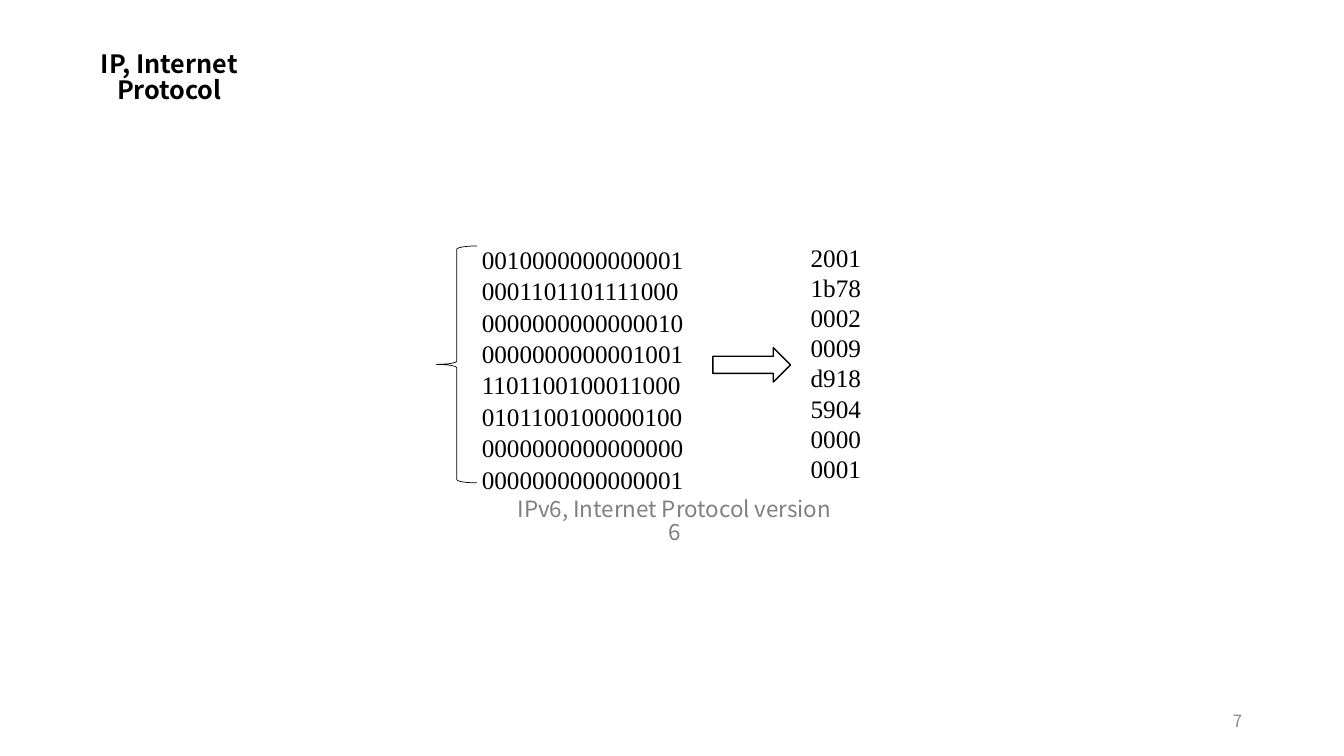
from dataclasses import dataclass

from lxml import etree
from pptx import Presentation
from pptx import util as u
from pptx.dml.color import RGBColor
from pptx.enum import shapes, text

PX = u.Inches(1) // 100
SANS = "Noto Sans CJK SC"
SERIF = "Times New Roman"
BLACK = RGBColor(0x00, 0x00, 0x00)
WHITE = RGBColor(0xFF, 0xFF, 0xFF)
CAPTION_GREY = RGBColor(0x80, 0x80, 0x80)
NUMBER_GREY = RGBColor(0x8C, 0x8C, 0x8C)
SANS_SPACING = 0.84
BINARY_SPACING = 1.04
HEX_TOP, HEX_PITCH = 235, 30

# Each 16-bit group of the address, in binary and in hexadecimal.
GROUPS = [
    ("0010000000000001", "2001"),
    ("0001101101111000", "1b78"),
    ("0000000000000010", "0002"),
    ("0000000000001001", "0009"),
    ("1101100100011000", "d918"),
    ("0101100100000100", "5904"),
    ("0000000000000000", "0000"),
    ("0000000000000001", "0001"),
]


@dataclass(frozen=True)
class Box:
    left: int
    top: int
    width: int
    height: int

    def emu(self) -> tuple[int, int, int, int]:
        return (self.left * PX, self.top * PX, self.width * PX, self.height * PX)


@dataclass(frozen=True)
class Outline:
    kind: shapes.MSO_SHAPE
    box: Box
    weight: float
    fill: RGBColor | None = None


OUTLINES = [
    Outline(shapes.MSO_SHAPE.RIGHT_ARROW, Box(707, 345, 77, 34), 1, WHITE),
    Outline(shapes.MSO_SHAPE.LEFT_BRACE, Box(433, 244, 40, 235), 0.5),
]


def write(sp, lines: list[str], *, font: str = SERIF, size: int = 18,
          color: RGBColor = BLACK, bold: bool = False,
          align=text.PP_ALIGN.CENTER, anchor=text.MSO_ANCHOR.TOP,
          fit=text.MSO_AUTO_SIZE.SHAPE_TO_FIT_TEXT,
          spacing: float = 1.0) -> None:
    """Fill a shape with one paragraph per line."""
    tf = sp.text_frame
    tf.word_wrap = True
    tf.auto_size = fit
    tf.vertical_anchor = anchor
    for i, line in enumerate(lines):
        p = tf.add_paragraph() if i else tf.paragraphs[0]
        p.alignment = align
        p.line_spacing = spacing
        p.space_before = p.space_after = u.Pt(0)
        r = p.add_run()
        r.text = line
        r.font.name = font
        r.font.size = u.Pt(size)
        r.font.bold = bold
        r.font.color.rgb = color
        # Same typeface for East Asian text.
        ea = etree.SubElement(r.font._element, r.font._element.tag.replace("rPr", "ea"))
        ea.set("typeface", font)


def add_text(slide, box: Box, lines: list[str], **style) -> None:
    write(slide.shapes.add_textbox(*box.emu()), lines, **style)


def add_outline(slide, outline: Outline) -> None:
    sp = slide.shapes.add_shape(outline.kind, *outline.box.emu())
    sp.shadow.inherit = False
    if outline.fill is None:
        sp.fill.background()
    else:
        sp.fill.solid()
        sp.fill.fore_color.rgb = outline.fill
    sp.line.color.rgb = BLACK
    sp.line.width = u.Pt(outline.weight)


def set_title(slide, box: Box, title: str) -> None:
    sp = slide.shapes.title
    sp.left, sp.top, sp.width, sp.height = box.emu()
    write(sp, [title], font=SANS, bold=True, spacing=SANS_SPACING)


def main() -> None:
    prs = Presentation()
    prs.slide_width, prs.slide_height = 1333 * PX, 750 * PX
    slide = prs.slides.add_slide(prs.slide_layouts.get_by_name("Title Only"))

    set_title(slide, Box(36, 48, 264, 40), "IP, Internet Protocol")
    add_text(slide, Box(468, 236, 245, 252), [binary for binary, _ in GROUPS],
             align=text.PP_ALIGN.LEFT, spacing=BINARY_SPACING)
    for i, (_, hexadecimal) in enumerate(GROUPS):
        add_text(slide, Box(785, HEX_TOP + i * HEX_PITCH, 88, 40), [hexadecimal])
    for outline in OUTLINES:
        add_outline(slide, outline)
    add_text(slide, Box(501, 491, 336, 37), ["IPv6, Internet Protocol version 6"],
             font=SANS, size=16, color=CAPTION_GREY, spacing=SANS_SPACING)
    add_text(slide, Box(942, 695, 300, 40), ["7"], font=SANS, size=12,
             color=NUMBER_GREY, align=text.PP_ALIGN.RIGHT,
             anchor=text.MSO_ANCHOR.MIDDLE, fit=text.MSO_AUTO_SIZE.NONE)
    prs.save("out.pptx")


if __name__ == "__main__":
    main()
